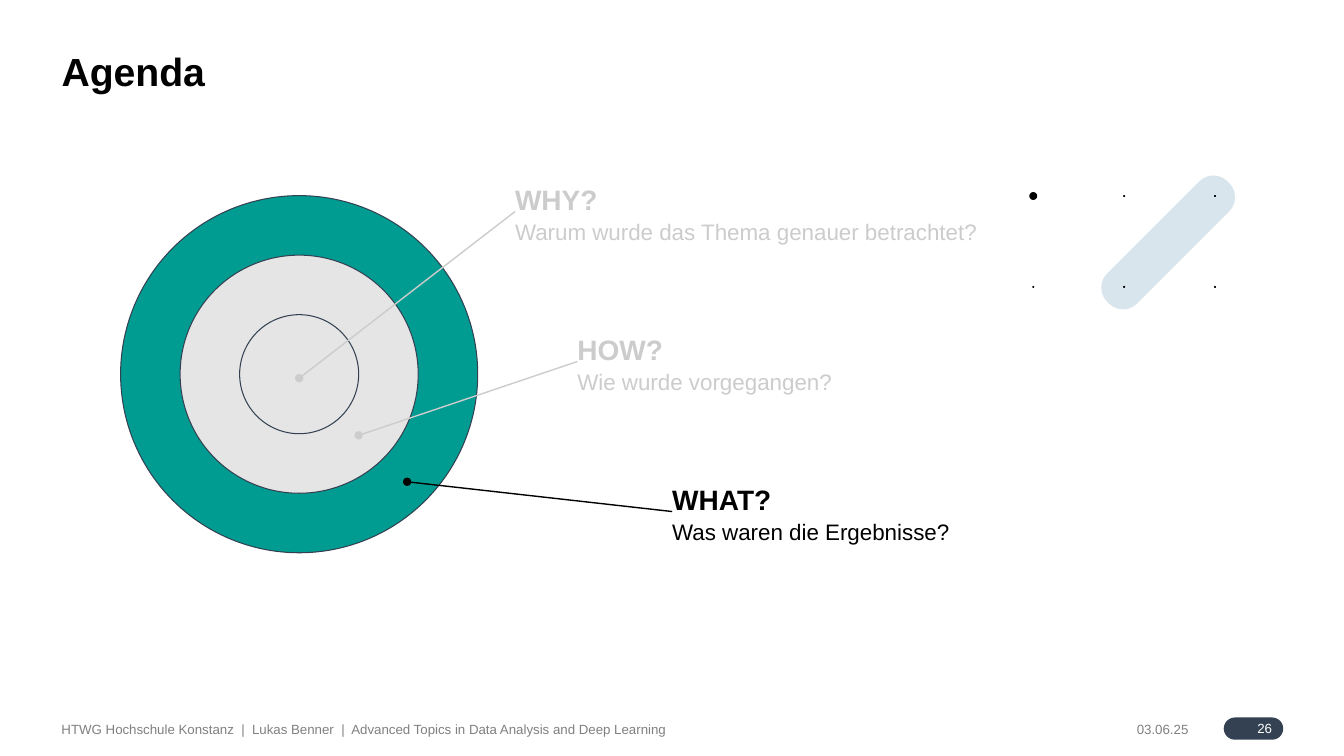
from lxml.etree import SubElement
from pptx import Presentation
from pptx.dml.color import RGBColor
from pptx.enum.shapes import MSO_CONNECTOR, MSO_SHAPE
from pptx.enum.text import MSO_ANCHOR, MSO_AUTO_SIZE, PP_ALIGN
from pptx.oxml.ns import qn
from pptx.util import Cm, Pt

COLORS = {
    "black": "000000",
    "white": "FFFFFF",
    "muted": "CCCCCC",
    "footer": "808080",
    "navy": "334152",
    "teal": "009B91",
    "ring": "E5E5E5",
    "pale": "D9E5EC",
}
FONT = "Arial"
MARGIN = 1.55
RING_CENTER = (7.54, 9.43)
RINGS = [(9, "teal"), (6, "ring"), (3, "ring")]  # diameter, fill

# heading, question, color, left, width, line end inside the rings
QUESTIONS = [
    ("WHY?", "Warum wurde das Thema genauer betrachtet?", "muted", 12.98, 11.9, (7.54, 9.53)),
    ("HOW?", "Wie wurde vorgegangen?", "muted", 14.55, 8.56, (9.04, 10.97)),
    ("WHAT?", "Was waren die Ergebnisse?", "black", 16.94, 8.56, (10.26, 12.14)),
]
QUESTION_TOP, QUESTION_STEP = 4.55, 3.78


def rgb(color):
    return RGBColor.from_string(COLORS[color])


def add_paragraph(frame, text, size=9.5, color="black", bold=False,
                  align=PP_ALIGN.LEFT, spacing=1.0, first=True):
    paragraph = frame.paragraphs[0] if first else frame.add_paragraph()
    paragraph.alignment = align
    paragraph.line_spacing = spacing
    paragraph.space_before = paragraph.space_after = Pt(0)
    run = paragraph.add_run()
    run.text = text
    run.font.name = FONT
    run.font.size = Pt(size)
    run.font.bold = bold
    run.font.color.rgb = rgb(color)


def prepare_frame(frame, anchor=MSO_ANCHOR.TOP, right=0, wrap=True):
    frame.margin_left = frame.margin_top = frame.margin_bottom = Cm(0)
    frame.margin_right = Cm(right)
    frame.vertical_anchor = anchor
    frame.auto_size = MSO_AUTO_SIZE.NONE
    frame.word_wrap = wrap
    return frame


def add_text_area(slide, left, top, width, height, **layout):
    box = slide.shapes.add_textbox(Cm(left), Cm(top), Cm(width), Cm(height))
    return prepare_frame(box.text_frame, **layout)


def add_filled(slide, kind, center, width, height, fill, outline=None):
    shape = slide.shapes.add_shape(
        kind, Cm(center[0] - width / 2), Cm(center[1] - height / 2), Cm(width), Cm(height))
    shape.shadow.inherit = False
    shape.fill.solid()
    shape.fill.fore_color.rgb = rgb(fill)
    if outline:
        shape.line.color.rgb = rgb(outline)
        shape.line.width = Pt(0.75)
    else:
        shape.line.fill.background()
    return shape


def add_pointer(slide, start, end, color):
    pointer = slide.shapes.add_connector(
        MSO_CONNECTOR.STRAIGHT, Cm(start[0]), Cm(start[1]), Cm(end[0]), Cm(end[1]))
    pointer.line.color.rgb = rgb(color)
    pointer.line.width = Pt(1)
    SubElement(pointer.line._get_or_add_ln(), qn("a:tailEnd"), type="oval")
    SubElement(pointer._element.spPr, qn("a:effectLst"))


def add_title(slide, text):
    title = slide.shapes.title
    title.left, title.top, title.width, title.height = Cm(MARGIN), Cm(1.12), Cm(30.78), Cm(1.19)
    add_paragraph(prepare_frame(title.text_frame), text, size=28, bold=True, spacing=1.06)


def add_dot_pattern(slide):
    pill = add_filled(slide, MSO_SHAPE.ROUNDED_RECTANGLE, (29.44, 6.11), 1.07, 4.29, "pale")
    pill.adjustments[0] = 0.47
    pill.rotation = 45
    for row in range(2):
        for column in range(3):
            size = 0.2 if row == column == 0 else 0.05
            center = (26.04 + 2.29 * column, 4.94 + 2.29 * row)
            add_filled(slide, MSO_SHAPE.OVAL, center, size, size, "black")


def add_footer(slide):
    middle = MSO_ANCHOR.MIDDLE
    date = add_text_area(slide, 28.65, 18.16, 1.68, 0.41, anchor=middle, wrap=False)
    add_paragraph(date, "03.06.25", color="footer")

    badge = add_filled(slide, MSO_SHAPE.ROUNDED_RECTANGLE, (31.59, 18.36), 1.5, 0.56, "navy")
    badge.adjustments[0] = 0.5
    number = prepare_frame(badge.text_frame, anchor=middle, right=0.2)
    add_paragraph(number, "26", color="white", align=PP_ALIGN.RIGHT)

    source = add_text_area(slide, MARGIN, 18.16, 26.59, 0.41, anchor=middle)
    add_paragraph(
        source,
        "HTWG Hochschule Konstanz  |  Lukas Benner  |  "
        "Advanced Topics in Data Analysis and Deep Learning",
        color="footer")


def add_questions(slide):
    for index, (heading, question, color, left, width, target) in enumerate(QUESTIONS):
        top = QUESTION_TOP + index * QUESTION_STEP
        area = add_text_area(slide, left, top, width, 1.55)
        add_paragraph(area, heading, size=20, color=color, bold=True, spacing=1.06)
        add_paragraph(area, question, size=16, color=color, spacing=1.06, first=False)
        add_pointer(slide, (left, top + 0.78), target, color)


def main():
    presentation = Presentation()
    presentation.slide_width, presentation.slide_height = Cm(33.87), Cm(19.05)
    slide = presentation.slides.add_slide(presentation.slide_layouts[5])

    # Frame of the slide
    add_dot_pattern(slide)
    add_title(slide, "Agenda")
    add_footer(slide)

    # Golden circle with its three questions
    for diameter, fill in RINGS:
        add_filled(slide, MSO_SHAPE.OVAL, RING_CENTER, diameter, diameter, fill, outline="navy")
    add_questions(slide)

    presentation.save("out.pptx")


if __name__ == "__main__":
    main()
